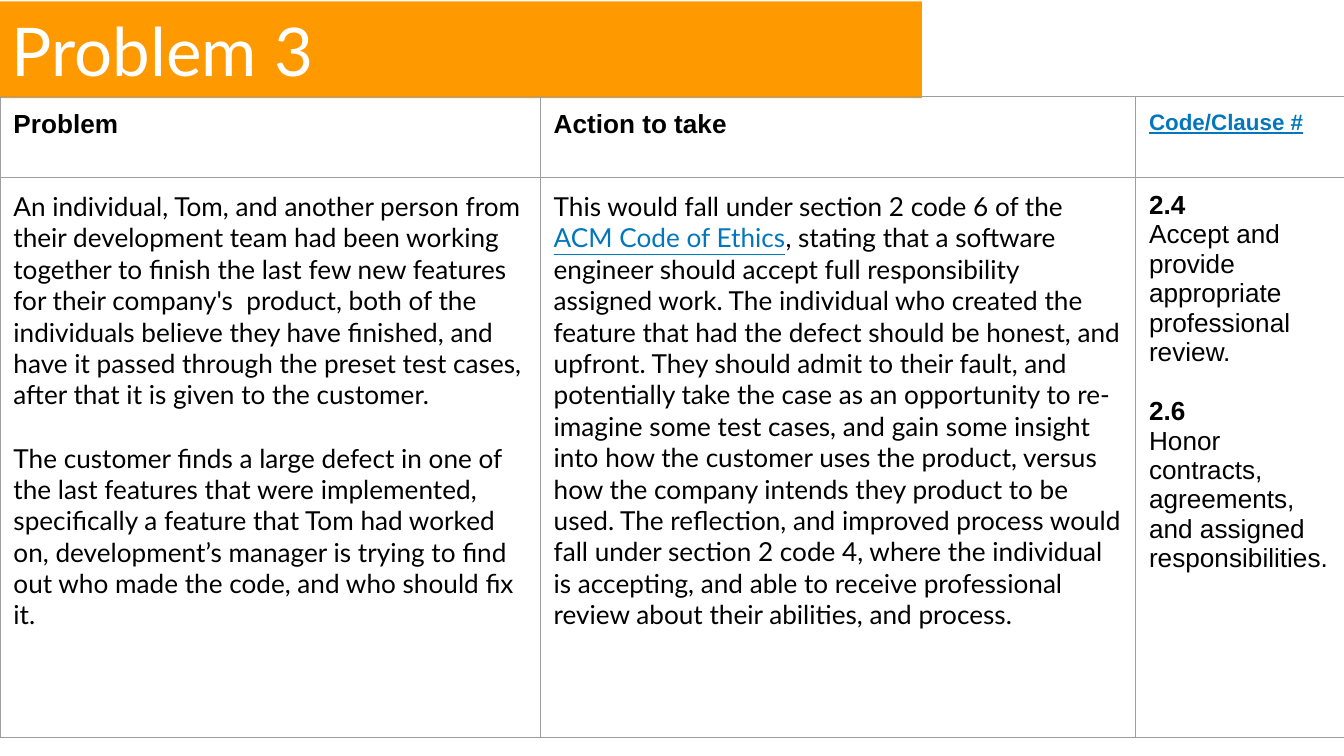
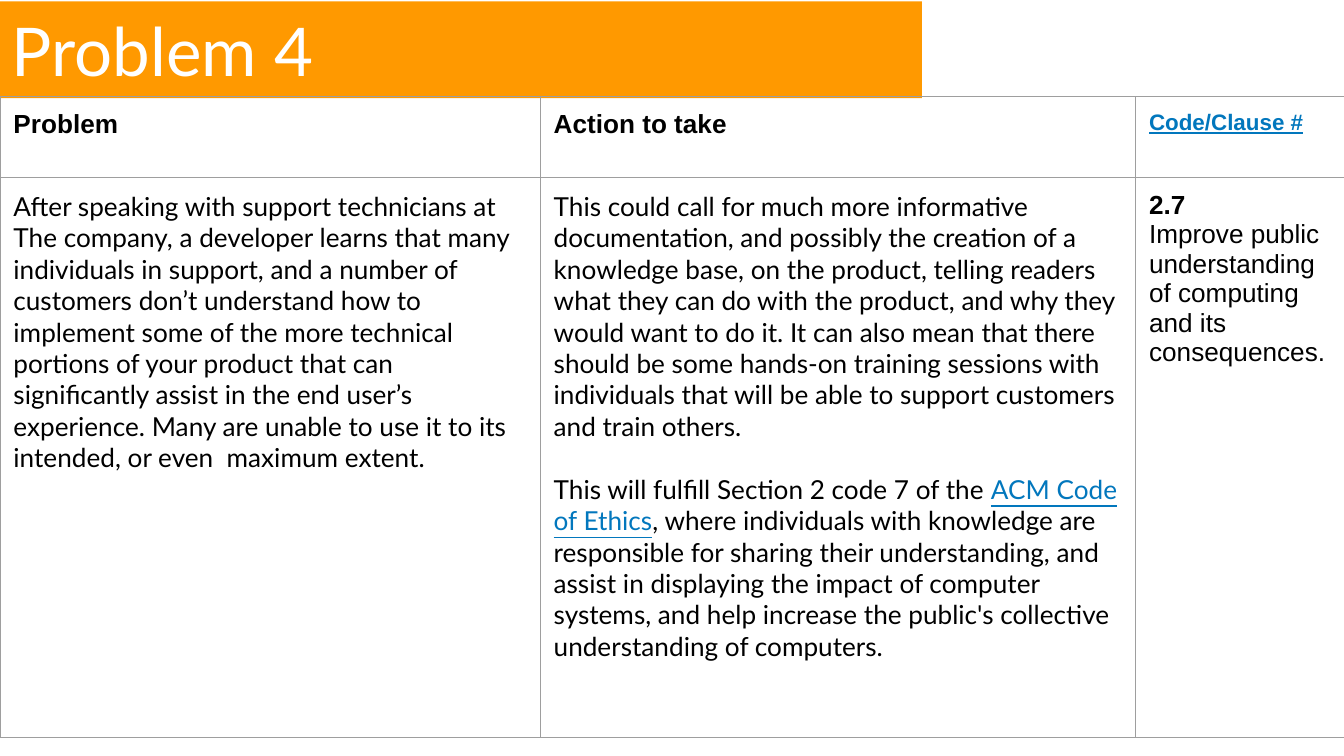
from lxml import etree
from pptx import Presentation, util as u
from pptx.dml.color import RGBColor
from pptx.enum import shapes, text
from pptx.oxml.ns import qn

COLORS = {"band": "FF9900", "title": "FFFFFF", "ink": "000000",
          "link": "0277BD", "rule": "9E9E9E"}
WIDTH = 10
HEIGHT = WIDTH * 9 / 16
BAND = (-0.01, 0.01, 6.87, 0.72)
TABLE_TOP = 0.72
COLS = (4.02, 4.43, 1.56)
ROWS = (0.6, 4.17)
INSET = u.Inches(0.1)
BODY_SIZE = 14
LINK = "ACM Code of Ethics"

PROBLEMS = [
    {"title": "Problem 3",
     "problem": [
         "An individual, Tom, and another person from their development team "
         "had been working together to finish the last few new features for "
         "their company's  product, both of the individuals believe they have "
         "finished, and have it passed through the preset test cases, after "
         "that it is given to the customer.",
         "The customer finds a large defect in one of the last features that "
         "were implemented, specifically a feature that Tom had worked on, "
         "development\u2019s manager is trying to find out who made the code, "
         "and who should fix it."],
     "action": [
         "This would fall under section 2 code 6 of the ACM Code of Ethics, "
         "stating that a software engineer should accept full responsibility "
         "assigned work. The individual who created the feature that had the "
         "defect should be honest, and upfront. They should admit to their "
         "fault, and potentially take the case as an opportunity to re-imagine "
         "some test cases, and gain some insight into how the customer uses "
         "the product, versus how the company intends they product to be used. "
         "The reflection, and improved process would fall under section 2 "
         "code 4, where the individual is accepting, and able to receive "
         "professional review about their abilities, and process."],
     "clauses": [
         ("2.4", "Accept and provide appropriate professional review."),
         ("2.6", "Honor contracts, agreements, and assigned responsibilities.")]},
    {"title": "Problem 4",
     "problem": [
         "After speaking with support technicians at The company, a developer "
         "learns that many individuals in support, and a number of customers "
         "don\u2019t understand how to implement some of the more technical "
         "portions of your product that can significantly assist in the end "
         "user\u2019s experience. Many are unable to use it to its intended, "
         "or even  maximum extent."],
     "action": [
         "This could call for much more informative documentation, and "
         "possibly the creation of a knowledge base, on the product, telling "
         "readers what they can do with the product, and why they would want "
         "to do it. It can also mean that there should be some hands-on "
         "training sessions with individuals that will be able to support "
         "customers and train others.",
         "This will fulfill Section 2 code 7 of the ACM Code of Ethics, where "
         "individuals with knowledge are responsible for sharing their "
         "understanding, and assist in displaying the impact of computer "
         "systems, and help increase the public's collective understanding "
         "of computers."],
     "clauses": [
         ("2.7", "Improve public understanding of computing and its "
                 "consequences.")]},
]


def rgb(name):
    """Look up a palette colour."""
    return RGBColor.from_string(COLORS[name])


def set_insets(box):
    """Give a cell or text frame the shared inner margin."""
    box.margin_left = box.margin_right = INSET
    box.margin_top = box.margin_bottom = INSET


def add_paragraph(tf, content, font, size=BODY_SIZE, color="ink", bold=False,
                  gap=0):
    """Write a paragraph, reusing the empty first one; style any link in it."""
    p = tf.paragraphs[0] if not tf.text else tf.add_paragraph()
    p.alignment = text.PP_ALIGN.LEFT
    p.space_before = u.Pt(gap)
    p.font.name, p.font.size, p.font.bold = font, u.Pt(size), bold
    p.font.color.rgb = rgb(color)
    for part in filter(None, content.partition(LINK)):
        r = p.add_run()
        r.text = part
        if part == LINK:
            r.font.color.rgb = rgb("link")
            r.font.underline = True
    return p


def add_title_band(slide, title):
    """Draw the coloured band that holds the slide title."""
    sp = slide.shapes.add_shape(shapes.MSO_SHAPE.RECTANGLE,
                                *map(u.Inches, BAND))
    sp.shadow.inherit = False
    sp.fill.solid()
    sp.fill.fore_color.rgb = rgb("band")
    sp.line.fill.background()
    tf = sp.text_frame
    tf.word_wrap = True
    tf.vertical_anchor = text.MSO_ANCHOR.MIDDLE
    set_insets(tf)
    add_paragraph(tf, title, "Lato", 36, "title")


def style_cell(cell):
    """Clear the cell's fill, set its margins and rule all four sides."""
    set_insets(cell)
    cell.fill.background()
    tc_pr = cell.fill._xPr
    for i, side in enumerate(("lnL", "lnR", "lnT", "lnB")):
        ln = etree.Element(qn("a:" + side), w=str(u.Pt(0.75)))
        fill = etree.SubElement(ln, qn("a:solidFill"))
        etree.SubElement(fill, qn("a:srgbClr"), val=COLORS["rule"])
        tc_pr.insert(i, ln)


def add_table(slide):
    """Add the ruled, unfilled table and return it."""
    table = slide.shapes.add_table(
        len(ROWS), len(COLS), 0, u.Inches(TABLE_TOP),
        u.Inches(sum(COLS)), u.Inches(sum(ROWS))).table
    table.first_row = table.horz_banding = False
    for col, width in zip(table.columns, COLS):
        col.width = u.Inches(width)
    for row, height in zip(table.rows, ROWS):
        row.height = u.Inches(height)
    for cell in table.iter_cells():
        style_cell(cell)
    return table


def fill_header(table):
    """Write the column headings, the last one as a link."""
    for col, heading in enumerate(("Problem", "Action to take")):
        add_paragraph(table.cell(0, col).text_frame, heading, "Arial",
                      bold=True)
    p = add_paragraph(table.cell(0, 2).text_frame, "Code/Clause #", "Arial",
                      12, "link", bold=True)
    p.font.underline = True


def fill_body(table, item):
    """Write the problem, the action and the clauses, one line apart."""
    for col, key in enumerate(("problem", "action")):
        for i, content in enumerate(item[key]):
            add_paragraph(table.cell(1, col).text_frame, content, "Lato",
                          gap=17 if i else 0)
    tf = table.cell(1, 2).text_frame
    for i, (number, clause) in enumerate(item["clauses"]):
        add_paragraph(tf, number, "Arial", bold=True, gap=16 if i else 0)
        add_paragraph(tf, clause, "Arial")


def main():
    """Build one slide per problem."""
    prs = Presentation()
    prs.slide_width, prs.slide_height = u.Inches(WIDTH), u.Inches(HEIGHT)
    for item in PROBLEMS:
        slide = prs.slides.add_slide(prs.slide_layouts[6])
        add_title_band(slide, item["title"])
        table = add_table(slide)
        fill_header(table)
        fill_body(table, item)
    prs.save("out.pptx")


main()
